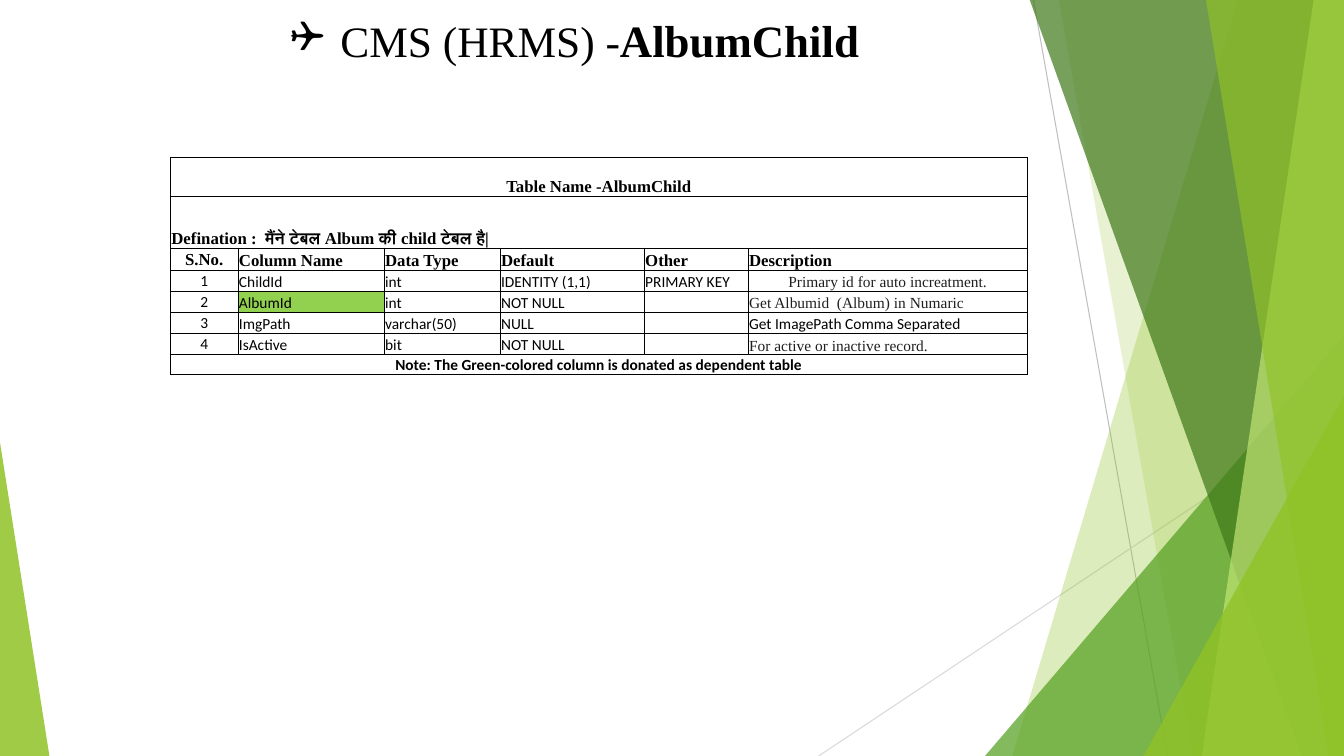
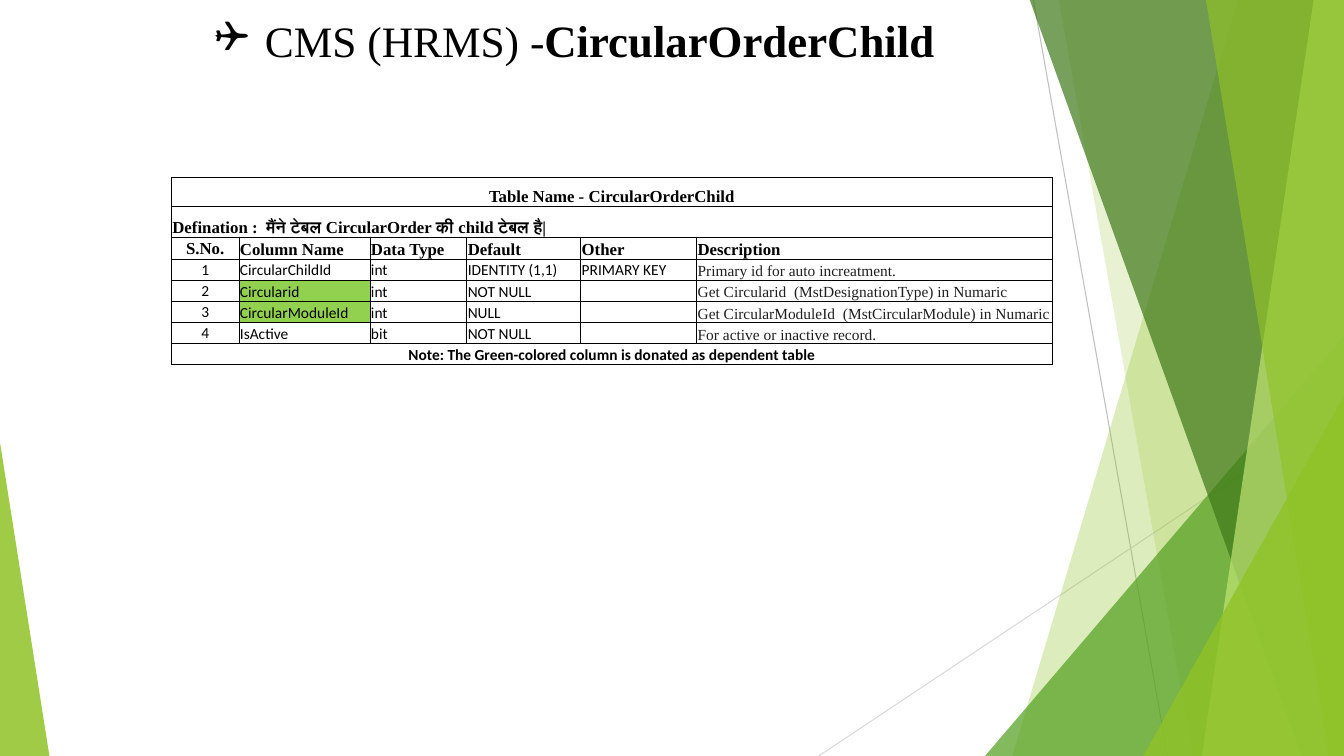
"""Build two slides that document child tables of the CMS database."""
from lxml import etree
from pptx import Presentation
from pptx.dml.color import RGBColor
from pptx.enum.shapes import MSO_CONNECTOR, MSO_SHAPE
from pptx.enum.text import MSO_ANCHOR, PP_ALIGN
from pptx.oxml.ns import qn
from pptx.util import Inches, Pt

STRAIGHT = MSO_CONNECTOR.STRAIGHT
TRIANGLE = MSO_SHAPE.ISOSCELES_TRIANGLE
MIDDLE, BOTTOM = MSO_ANCHOR.MIDDLE, MSO_ANCHOR.BOTTOM
LEFT, CENTER = PP_ALIGN.LEFT, PP_ALIGN.CENTER

BLACK = RGBColor(0x00, 0x00, 0x00)
INK = RGBColor(0x1F, 0x1F, 0x1F)
GRAY = RGBColor(0xBF, 0xBF, 0xBF)
LIGHT_GRAY = RGBColor(0xD9, 0xD9, 0xD9)
LIME = RGBColor(0x90, 0xC2, 0x26)
GREEN = RGBColor(0x54, 0xA0, 0x21)
DARK_GREEN = RGBColor(0x3F, 0x78, 0x19)
PALE_LIME = RGBColor(0xC0, 0xE4, 0x74)
MARK_GREEN = RGBColor(0x92, 0xD0, 0x50)

SERIF, SANS = "Times New Roman", "Calibri"
WIDTH, HEIGHT = 13.33, 7.5

LINES = [
    (10.25, 0, 11.58, HEIGHT, GRAY),
    (WIDTH, 4.03, 8.12, HEIGHT, LIGHT_GRAY),
]
# Bands give top and bottom left edges; wedges give left, top, width and apex.
FACETS = [
    ("band", (12.28, 10.04), LIME, 30),
    ("band", (10.5, 11.83), LIME, 20),
    ("wedge", (9.77, 3.33, 3.56, 1), GREEN, 72),
    ("band", (10.21, 12.91), DARK_GREEN, 70),
    ("band", (13.03, 11.92), PALE_LIME, 70),
    ("band", (11.96, 13.18), LIME, 65),
    ("wedge", (11.34, 3.93, 1.99, 1), LIME, 80),
    ("wedge", (0, 4.39, 0.49, 0), LIME, 85),
]

HEADINGS = ("S.No.", "Column Name", "Data Type", "Default", "Other", "Description")
NOTE = "Note: The Green-colored column is donated as dependent table"
ACTIVE = ("4", "IsActive", "bit", "NOT NULL", "", "For active or inactive record.")
SLIDES = [
    {
        "name": "AlbumChild",
        "caption": "Table Name -AlbumChild",
        "parent": "Album",
        "corner": (1.69, 1.56),
        "columns": (0.67, 1.45, 1.15, 1.43, 1.03, 2.77),
        "heights": (0.39, 0.51, 0.22, 0.21, 0.21, 0.21, 0.21, 0.18),
        "fields": [
            ("1", "ChildId", "int", "IDENTITY (1,1)", "PRIMARY KEY",
             "Primary id for auto increatment."),
            ("2", "AlbumId", "int", "NOT NULL", "", "Get Albumid  (Album) in Numaric"),
            ("3", "ImgPath", "varchar(50)", "NULL", "", "Get ImagePath Comma Separated"),
            ACTIVE,
        ],
        "dependent": {"AlbumId"},
        "centred": {"Primary id for auto increatment."},
        "plain": {"Get ImagePath Comma Separated"},
    },
    {
        "name": "CircularOrderChild",
        "caption": "Table Name - CircularOrderChild",
        "parent": "CircularOrder",
        "corner": (1.7, 1.76),
        "columns": (0.67, 1.3, 0.96, 1.13, 1.15, 3.53),
        "heights": (0.29, 0.3, 0.22, 0.21, 0.21, 0.21, 0.21, 0.21),
        "fields": [
            ("1", "CircularChildId", "int", "IDENTITY (1,1)", "PRIMARY KEY",
             "Primary id for auto increatment."),
            ("2", "Circularid", "int", "NOT NULL", "",
             "Get Circularid  (MstDesignationType) in Numaric"),
            ("3", "CircularModuleId", "int", "NULL", "",
             "Get CircularModuleId  (MstCircularModule) in Numaric"),
            ACTIVE,
        ],
        "dependent": {"Circularid", "CircularModuleId"},
        "centred": set(),
        "plain": set(),
    },
]


def write(para, text, size=11, font=SANS, color=BLACK, bold=False, align=LEFT):
    """Add one formatted span to a paragraph."""
    para.alignment = align
    if text:
        span = para.add_run()
        span.text = text
        span.font.size = Pt(size)
        span.font.name = font
        span.font.bold = bold
        span.font.color.rgb = color
    para._p.get_or_add_endParaRPr().set("sz", str(size * 100))


deck = Presentation()
deck.slide_width, deck.slide_height = Inches(WIDTH), Inches(HEIGHT)

for content in SLIDES:
    page = deck.slides.add_slide(deck.slide_layouts[6])

    for x1, y1, x2, y2, color in LINES:
        line = page.shapes.add_connector(
            STRAIGHT, Inches(x1), Inches(y1), Inches(x2), Inches(y2))
        line.line.color.rgb = color
        line.line.width = Pt(0.75)
        etree.SubElement(line._element.spPr, qn("a:effectLst"))

    for kind, place, color, opacity in FACETS:
        if kind == "band":
            top_x, bottom_x = place
            outline = page.shapes.build_freeform(Inches(top_x), Inches(-0.01))
            outline.add_line_segments([
                (Inches(WIDTH), Inches(-0.01)),
                (Inches(WIDTH), Inches(HEIGHT)),
                (Inches(bottom_x), Inches(HEIGHT)),
            ])
            facet = outline.convert_to_shape()
        else:
            left, top, width, apex = place
            facet = page.shapes.add_shape(
                TRIANGLE, Inches(left), Inches(top), Inches(width), Inches(HEIGHT - top))
            facet.adjustments[0] = apex
        facet.shadow.inherit = False
        facet.line.fill.background()
        facet.fill.solid()
        facet.fill.fore_color.rgb = color
        tint = facet._element.spPr.find(qn("a:solidFill"))[0]
        etree.SubElement(tint, qn("a:alpha"), val=str(opacity * 1000))

    box = page.shapes.add_textbox(Inches(1.56), Inches(0.08), Inches(8.28), Inches(0.64))
    box.text_frame.word_wrap = True
    para = box.text_frame.paragraphs[0]
    indent = Inches(0.5)
    settings = para._p.get_or_add_pPr()
    settings.set("marL", str(indent))
    settings.set("indent", str(-indent))
    etree.SubElement(settings, qn("a:buFont"), typeface="Wingdings")
    etree.SubElement(settings, qn("a:buChar"), char="❑")
    write(para, "CMS (HRMS) -", size=31, font=SERIF, align=CENTER)
    write(para, content["name"], size=32, font=SERIF, bold=True, align=CENTER)

    definition = f"Defination :  मैंने टेबल {content['parent']} की child टेबल है|"
    rows = [(content["caption"],), (definition,), HEADINGS, *content["fields"], (NOTE,)]
    columns, heights = content["columns"], content["heights"]
    left, top = content["corner"]
    table = page.shapes.add_table(
        len(rows), len(columns), Inches(left), Inches(top),
        Inches(sum(columns)), Inches(sum(heights))).table
    table.first_row = table.horz_banding = False
    for column, width in zip(table.columns, columns):
        column.width = Inches(width)

    for row_index, (texts, height) in enumerate(zip(rows, heights)):
        table.rows[row_index].height = Inches(height)
        if len(texts) == 1:
            table.cell(row_index, 0).merge(table.cell(row_index, len(columns) - 1))
        for column_index in range(len(columns)):
            cell = table.cell(row_index, column_index)
            text = texts[column_index] if column_index < len(texts) else ""
            cell.margin_left = cell.margin_right = cell.margin_top = Inches(0.01)
            cell.margin_bottom = 0
            numbered = column_index == 0 and len(texts) > 1
            cell.vertical_anchor = MIDDLE if numbered else BOTTOM
            for side in ("a:lnL", "a:lnR", "a:lnT", "a:lnB"):
                border = etree.SubElement(
                    cell._tc.get_or_add_tcPr(), qn(side), w=str(Pt(0.5)))
                paint = etree.SubElement(border, qn("a:solidFill"))
                etree.SubElement(paint, qn("a:srgbClr"), val=str(BLACK))
            if text in content["dependent"]:
                cell.fill.solid()
                cell.fill.fore_color.rgb = MARK_GREEN
            else:
                cell.fill.background()

            style = {}
            if row_index < 3:
                style = {"size": 12, "font": SERIF, "bold": True}
            elif text == NOTE:
                style = {"bold": True}
            elif column_index == 5 and text not in content["plain"]:
                style = {"font": SERIF, "color": INK}
            if numbered or text in content["centred"] | {content["caption"], NOTE}:
                style["align"] = CENTER
            write(cell.text_frame.paragraphs[0], text, **style)

deck.save("out.pptx")
